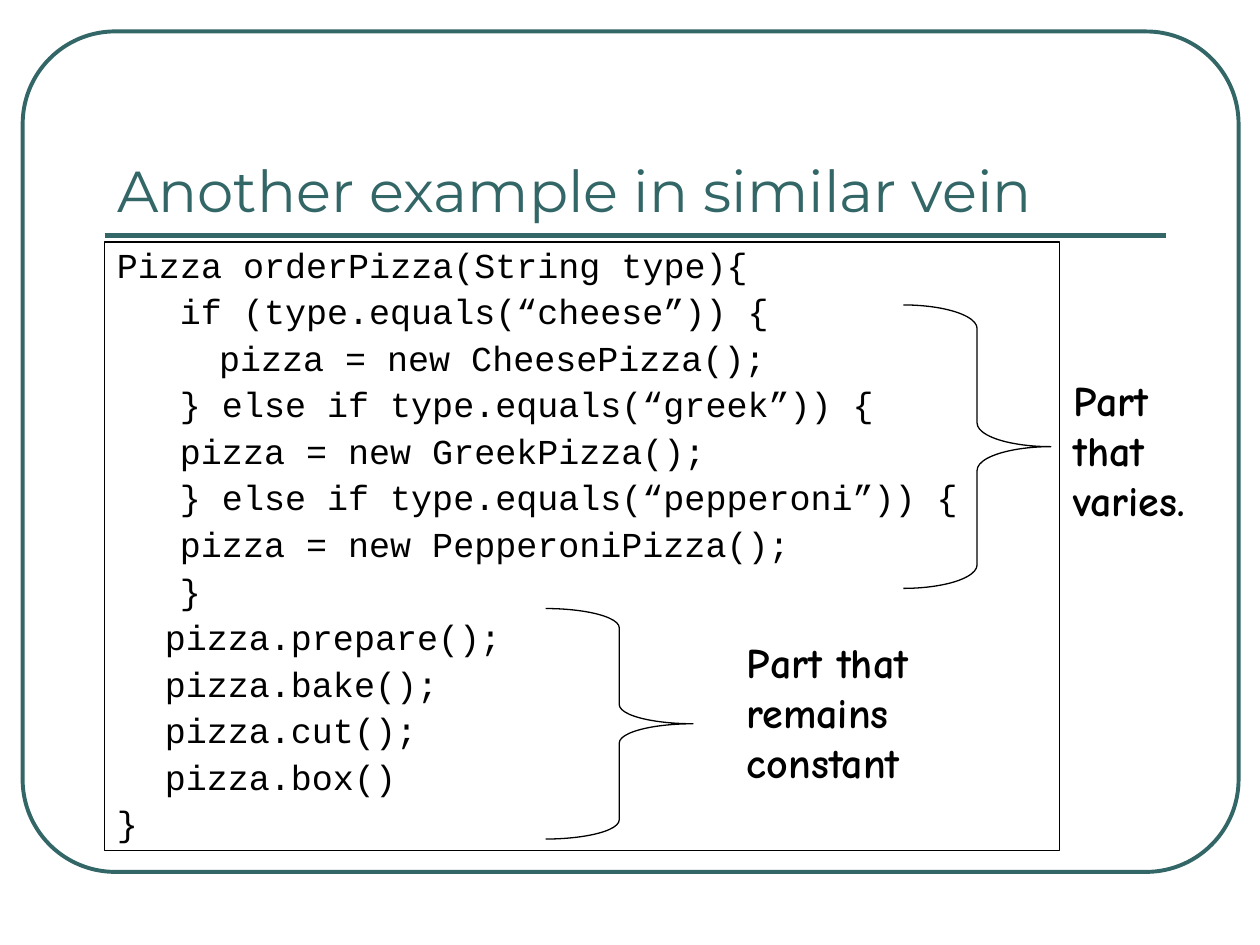
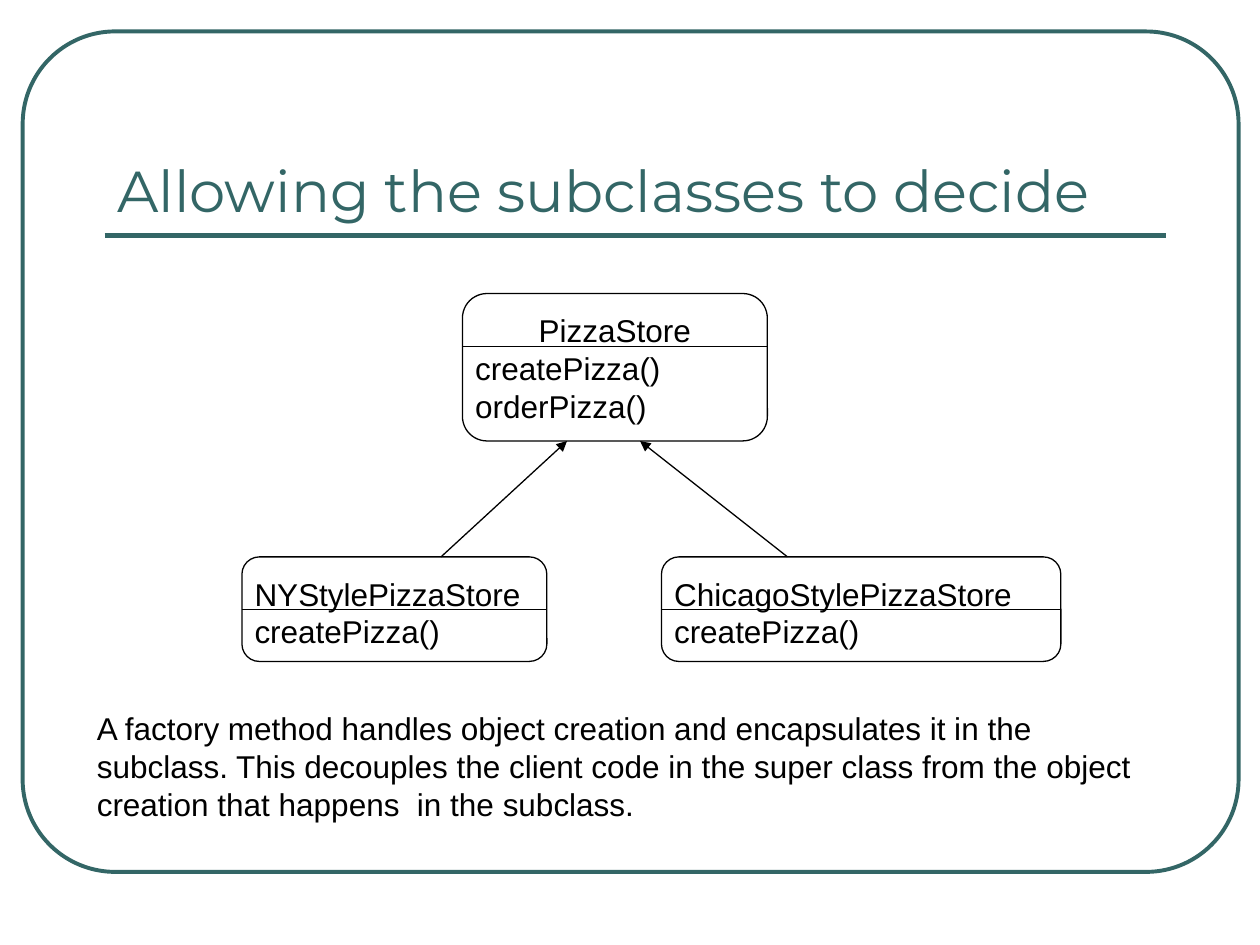
from lxml import etree
from pptx import Presentation
from pptx.dml.color import RGBColor
from pptx.enum.shapes import MSO_CONNECTOR, MSO_SHAPE
from pptx.enum.text import MSO_ANCHOR, MSO_AUTO_SIZE, PP_ALIGN
from pptx.oxml.ns import qn
from pptx.util import Inches, Pt

STRAIGHT = MSO_CONNECTOR.STRAIGHT
RECTANGLE, ROUNDED = MSO_SHAPE.RECTANGLE, MSO_SHAPE.ROUNDED_RECTANGLE
RIGHT_BRACE = MSO_SHAPE.RIGHT_BRACE
TOP, BOTTOM = MSO_ANCHOR.TOP, MSO_ANCHOR.BOTTOM
LEFT, CENTER = PP_ALIGN.LEFT, PP_ALIGN.CENTER
TEAL, BLACK = "336666", "000000"
TITLE_ONLY = 5

TITLES = ["Another example in similar vein", "Allowing the subclasses to decide"]


def style_outline(shape, color, width):
    """Give a shape or connector a plain line, with no fill and no shadow."""
    shape.line.color.rgb = RGBColor.from_string(color)
    shape.line.width = Pt(width)
    if hasattr(shape, "fill"):
        shape.fill.background()
        shape.shadow.inherit = False
    else:
        etree.SubElement(shape.element.spPr, qn("a:effectLst"))


def write(shape, lines, font_name, size, color=BLACK, bold=False, anchor=TOP):
    """Put one paragraph per line into the shape and return the paragraphs."""
    frame = shape.text_frame
    frame.word_wrap = True
    frame.auto_size = MSO_AUTO_SIZE.NONE
    frame.vertical_anchor = anchor
    frame.text = "\n".join(lines)
    for paragraph in frame.paragraphs:
        paragraph.alignment = LEFT
        paragraph.font.name = font_name
        paragraph.font.size = Pt(size)
        paragraph.font.bold = bold
        paragraph.font.color.rgb = RGBColor.from_string(color)
    return frame.paragraphs


presentation = Presentation()
presentation.slide_width = Inches(10)
presentation.slide_height = Inches(7.5)

# Shared frame, rule and title
for title_text in TITLES:
    slide = presentation.slides.add_slide(presentation.slide_layouts[TITLE_ONLY])
    border = slide.shapes.add_shape(
        ROUNDED, Inches(0.18), Inches(0.25), Inches(9.65), Inches(6.67))
    border.adjustments[0] = 0.11
    style_outline(border, TEAL, 2.25)
    rule = slide.shapes.add_connector(
        STRAIGHT, Inches(0.83), Inches(1.87), Inches(9.25), Inches(1.87))
    style_outline(rule, TEAL, 3)

    title = slide.shapes.title
    title.left, title.top = Inches(0.83), Inches(0.58)
    title.width, title.height = Inches(8.42), Inches(1.25)
    write(title, [title_text], "Montserrat", 33, TEAL, anchor=BOTTOM)

code_slide, class_slide = presentation.slides

# Slide 1: code listing, each line with its indent in inches
CODE = [
    (0, "Pizza orderPizza(String type){"),
    (0.5, "if (type.equals(“cheese”)) {"),
    (0.81, "pizza = new CheesePizza();"),
    (0.5, "} else if type.equals(“greek”)) {"),
    (0.5, "pizza = new GreekPizza();"),
    (0.5, "} else if type.equals(“pepperoni”)) {"),
    (0.5, "pizza = new PepperoniPizza();"),
    (0.5, "}"),
    (0.38, "pizza.prepare();"),
    (0.38, "pizza.bake();"),
    (0.38, "pizza.cut();"),
    (0.38, "pizza.box()"),
    (0, "}"),
]
code_box = code_slide.shapes.add_shape(
    RECTANGLE, Inches(0.83), Inches(1.92), Inches(7.58), Inches(4.83))
style_outline(code_box, BLACK, 0.75)
code_lines = write(code_box, [text for _, text in CODE], "Courier New", 20)
for paragraph, (indent, _) in zip(code_lines, CODE):
    paragraph.line_spacing = 0.9
    paragraph.space_before = Pt(5)
    paragraph._p.get_or_add_pPr().set("marL", str(Inches(indent)))

BRACE_WIDTH = 1.17
for left, top, height in [(7.17, 2.42, 2.25), (4.33, 4.83, 1.83)]:
    brace = code_slide.shapes.add_shape(
        RIGHT_BRACE, Inches(left), Inches(top), Inches(BRACE_WIDTH), Inches(height))
    brace.adjustments[0] = height / 12 / BRACE_WIDTH
    style_outline(brace, BLACK, 0.75)

for left, top, width, height, note in [
    (8.42, 2.92, 1.17, 1.7, "Part that varies."),
    (5.83, 5, 1.67, 2.1, "Part that remains constant"),
]:
    note_box = code_slide.shapes.add_textbox(
        Inches(left), Inches(top), Inches(width), Inches(height))
    write(note_box, [note], "Comic Neue", 24, bold=True)

# Slide 2: class diagram
CLASSES = [
    (3.67, 2.33, 2.42, 1.17, CENTER, ["PizzaStore", "createPizza()", "orderPizza()"]),
    (1.92, 4.42, 2.42, 0.83, LEFT, ["NYStylePizzaStore", "createPizza()"]),
    (5.25, 4.42, 3.17, 0.83, LEFT, ["ChicagoStylePizzaStore", "createPizza()"]),
]
for left, top, width, height, name_alignment, members in CLASSES:
    class_box = class_slide.shapes.add_shape(
        ROUNDED, Inches(left), Inches(top), Inches(width), Inches(height))
    style_outline(class_box, BLACK, 0.75)
    class_box.text_frame.margin_top = Inches(0.13)
    class_lines = write(class_box, members, "Arial", 18)
    class_lines[0].alignment = name_alignment
    # Text spans the full box width despite the rounded corners
    corner_inset = 0.29 * class_box.adjustments[0] * min(width, height)
    class_box.text_frame.margin_left = Inches(0.1 - corner_inset)
    class_box.text_frame.margin_right = Inches(0.1 - corner_inset)
    class_box.text_frame.margin_top = Inches(0.14 - corner_inset)

    divider_top = Inches(top + 0.42)
    divider = class_slide.shapes.add_connector(
        STRAIGHT, Inches(left), divider_top, Inches(left + width), divider_top)
    style_outline(divider, BLACK, 0.75)

for start_x, end_x in [(3.5, 4.5), (6.25, 5.08)]:
    arrow = class_slide.shapes.add_connector(
        STRAIGHT, Inches(start_x), Inches(4.42), Inches(end_x), Inches(3.5))
    style_outline(arrow, BLACK, 0.75)
    etree.SubElement(arrow.line._get_or_add_ln(), qn("a:tailEnd"), type="triangle")

summary = class_slide.shapes.add_textbox(
    Inches(0.67), Inches(5.58), Inches(8.5), Inches(1))
write(summary, [
    "A factory method handles object creation and encapsulates it in the subclass. "
    "This decouples the client code in the super class from the object creation "
    "that happens  in the subclass."
], "Arial", 18)

presentation.save("out.pptx")
